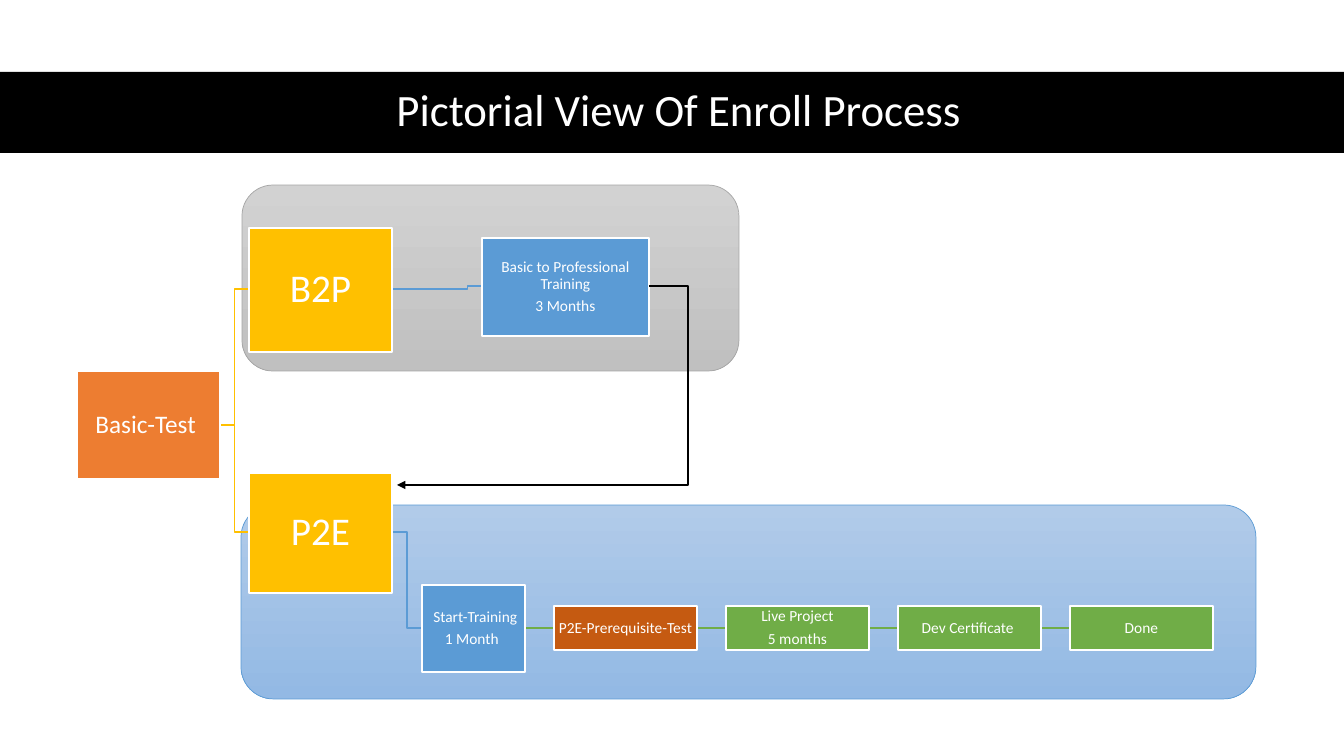
from lxml import etree
from pptx import Presentation
from pptx import util as u
from pptx.dml.color import RGBColor
from pptx.enum import shapes, text
from pptx.oxml.ns import qn

PX = 12192000 / 1344
COLORS = {
    "black": "000000", "white": "FFFFFF", "orange": "ED7D31", "gold": "FFC000",
    "blue": "5B9BD5", "rust": "C55A11", "green": "70AD47", "gray": "A5A5A5",
    "blue_top": "B1CBE9", "blue_bottom": "93B9E4",
    "gray_top": "D2D2D2", "gray_bottom": "C0C0C0",
}
RGB = {name: RGBColor.from_string(value) for name, value in COLORS.items()}
FRAME = {"word_wrap": True, "vertical_anchor": text.MSO_ANCHOR.MIDDLE}
PARAGRAPH = {"alignment": text.PP_ALIGN.CENTER, "line_spacing": 0.9}
FONT = {"name": "Calibri"}

prs = Presentation()
prs.slide_width, prs.slide_height = round(1344 * PX), round(756 * PX)
s = prs.slides.add_slide(prs.slide_layouts[6])


def write(sp, lines, size, inset):
    tf = sp.text_frame
    margins = {f"margin_{side}": round(inset * PX)
               for side in ("left", "top", "right", "bottom")}
    for key, value in {**FRAME, **margins}.items():
        setattr(tf, key, value)
    for i, line in enumerate(lines):
        p = tf.add_paragraph() if i else tf.paragraphs[0]
        for key, value in {**PARAGRAPH, "space_after": u.Pt(round(size * 0.35))}.items():
            setattr(p, key, value)
        r = p.add_run()
        r.text = line
        for key, value in {**FONT, "size": u.Pt(size)}.items():
            setattr(r.font, key, value)
        r.font.color.rgb = RGB["white"]


def connect(kind, points, color, width, bend=None):
    c = s.shapes.add_connector(kind, *(round(v * PX) for v in points))
    c.line.color.rgb = RGB[color]
    c.line.width = u.Pt(width)
    sp_pr = c._element.spPr
    etree.SubElement(sp_pr, qn("a:effectLst"))
    if bend is not None:
        guides = sp_pr.find(qn("a:prstGeom")).get_or_add_avLst()
        etree.SubElement(guides, qn("a:gd"), name="adj1", fmla=f"val {bend}")
    return c


# Rounded panels behind the two tracks
for box, top, bottom, edge in [
    ((241, 505, 1015, 194), "blue_top", "blue_bottom", "blue"),
    ((242, 185, 497, 186), "gray_top", "gray_bottom", "gray"),
]:
    sp = s.shapes.add_shape(shapes.MSO_SHAPE.ROUNDED_RECTANGLE, *(round(v * PX) for v in box))
    sp.shadow.inherit = False
    sp.fill.gradient()
    sp.fill.gradient_angle = 270
    for stop, color, position in zip(sp.fill.gradient_stops, (top, bottom), (0, 1)):
        stop.color.rgb = RGB[color]
        stop.position = position
    sp.line.color.rgb = RGB[edge]
    sp.line.width = u.Pt(0.5)

# Title bar
bar = s.shapes.add_shape(shapes.MSO_SHAPE.RECTANGLE, 0, round(72 * PX),
                         prs.slide_width, round(81 * PX))
bar.shadow.inherit = False
bar.fill.solid()
bar.fill.fore_color.rgb = RGB["black"]
bar.line.fill.background()
title = s.shapes.add_textbox(*(round(v * PX) for v in (61, 71, 1236, 82)))
write(title, ["Pictorial View Of Enroll Process"], 32, 5)

# Branch lines: points, colour, place of the bend in 1/1000 percent
for points, color, bend in [
    ((392, 532, 422, 628), "blue", 50000),
    ((220, 425, 249, 532), "gold", 50000),
    ((392, 289, 482, 286), "blue", 84000),
    ((220, 425, 249, 289), "gold", 50000),
]:
    connect(shapes.MSO_CONNECTOR.ELBOW, points, color, 1, bend)

# Boxes: place, fill, text size, inset, lines
boxes = [
    ((77, 371, 143, 108), "orange", 18, 1, ["Basic-Test "]),
    ((249, 228, 143, 124), "gold", 28, 2, ["B2P"]),
    ((482, 238, 167, 98), "blue", 11, 1, ["Basic to Professional Training", "3 Months"]),
    ((249, 473, 143, 120), "gold", 28, 2, ["P2E"]),
    ((422, 585, 103, 87), "blue", 11, 1, [" Start-Training", "1 Month "]),
]

# Row of steps at an even pitch, each with a line leading into it
STEP_LEFT, STEP_PITCH, STEP_WIDTH = 554, 172, 143
for i, (color, lines) in enumerate([
    ("rust", ["P2E-Prerequisite-Test"]),
    ("green", [" Live Project ", "5 months"]),
    ("green", ["Dev Certificate "]),
    ("green", ["Done"]),
]):
    left = STEP_LEFT + i * STEP_PITCH
    gap = STEP_PITCH - STEP_WIDTH
    connect(shapes.MSO_CONNECTOR.STRAIGHT, (left - gap, 628, left, 628), "green", 1)
    boxes.append(((left, 606, STEP_WIDTH, 44), color, 11, 1, lines))

for box, color, size, inset, lines in boxes:
    sp = s.shapes.add_shape(shapes.MSO_SHAPE.RECTANGLE, *(round(v * PX) for v in box))
    sp.shadow.inherit = False
    sp.fill.solid()
    sp.fill.fore_color.rgb = RGB[color]
    sp.line.color.rgb = RGB["white"]
    sp.line.width = u.Pt(1)
    write(sp, lines, size, inset)

# Arrow from professional training back to P2E
arrow = connect(shapes.MSO_CONNECTOR.ELBOW, (649, 286, 397, 485), "black", 1.5, -15500)
etree.SubElement(arrow.line._get_or_add_ln(), qn("a:tailEnd"), type="triangle")

prs.save("out.pptx")
